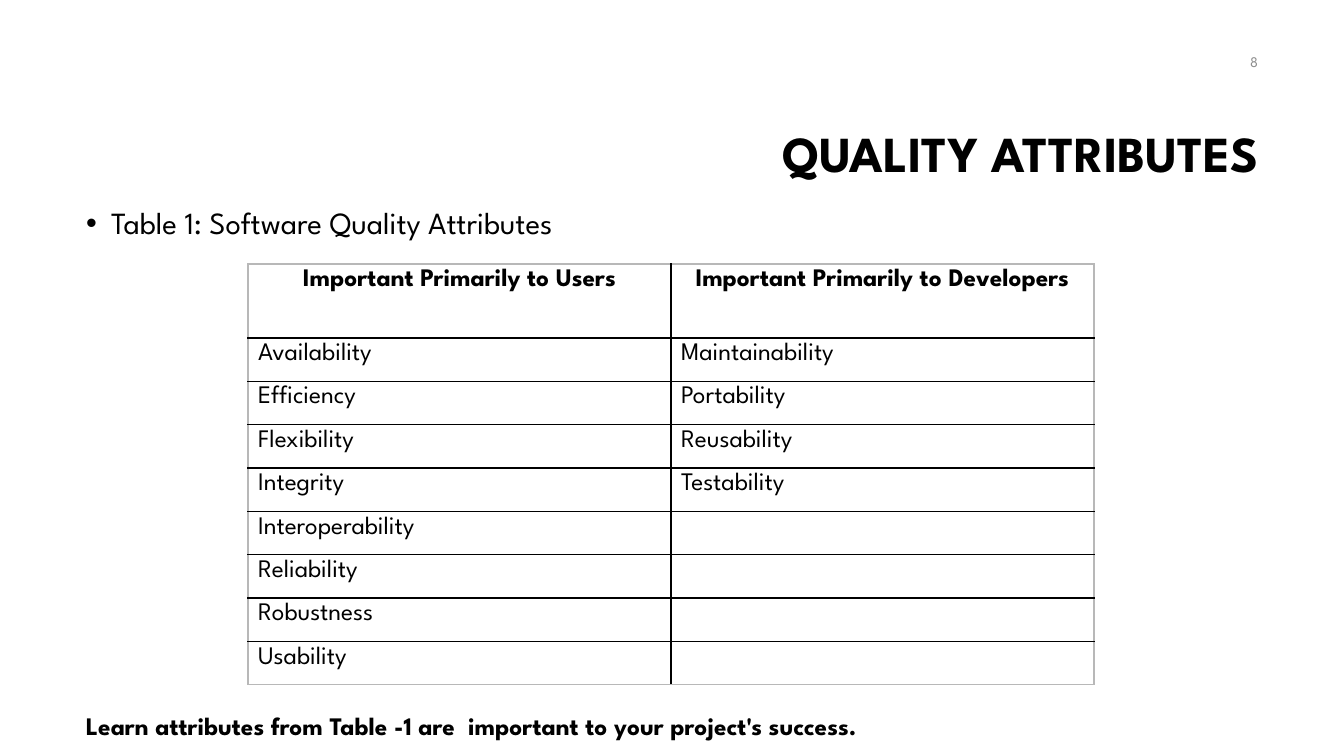
from lxml import etree
from pptx import Presentation
from pptx import util as u
from pptx.dml.color import RGBColor
from pptx.enum import text
from pptx.oxml import ns

PX = 9144000 / 1008  # EMU in one px, at 100.8 px to the inch
THEME = {
    "title": {"size": u.Pt(36), "bold": True, "color": "000000"},
    "list": {"size": u.Pt(22), "bold": False, "color": "000000"},
    "head": {"size": u.Pt(18), "bold": True, "color": "000000"},
    "cell": {"size": u.Pt(18), "bold": False, "color": "000000"},
    "page": {"size": u.Pt(10.5), "bold": False, "color": "8C8C8C"},
    "font": "League Spartan",
    "inner": "000000",
    "outer": "B8B8B8",
}
LEFT, CENTER, RIGHT = text.PP_ALIGN.LEFT, text.PP_ALIGN.CENTER, text.PP_ALIGN.RIGHT
TOP, MIDDLE = text.MSO_ANCHOR.TOP, text.MSO_ANCHOR.MIDDLE


def px(*sizes):
    """Turn px lengths into EMU."""
    return [u.Emu(round(size * PX)) for size in sizes]


def write(frame, words, style, align=LEFT, anchor=TOP):
    """Fill a text frame with one paragraph in a style of the theme."""
    frame.word_wrap = True
    frame.vertical_anchor = anchor
    para = frame.paragraphs[0]
    para.alignment = align
    run = para.add_run()
    run.text = words
    form = dict(THEME[style], name=THEME["font"])
    run.font.color.rgb = RGBColor.from_string(form.pop("color"))
    for key, value in form.items():
        setattr(run.font, key, value)
    return para


deck = Presentation()
deck.slide_width, deck.slide_height = px(1344, 756)
slide = deck.slides.add_slide(deck.slide_layouts[1])

# Title and list
title, body = slide.placeholders
places = (
    (title, (320, 85, 949, 142), "QUALITY ATTRIBUTES", "title", RIGHT, MIDDLE),
    (body, (76, 203, 1192, 483), "Table 1: Software Quality Attributes", "list", LEFT, TOP),
)
for shape, box, words, style, align, anchor in places:
    shape.left, shape.top, shape.width, shape.height = px(*box)
    shape.text_frame.auto_size = text.MSO_AUTO_SIZE.NONE
    para = write(shape.text_frame, words, style, align, anchor)
    para.line_spacing = 0.9
    para.space_before = u.Pt(0)

props = para._p.get_or_add_pPr()
indent = px(25)[0]
props.set("marL", str(indent))
props.set("indent", str(-indent))
etree.SubElement(props, ns.qn("a:buFont"), typeface="Arial")
etree.SubElement(props, ns.qn("a:buChar"), char="•")

# Table of attributes
heads = ("Important Primarily to Users", "Important Primarily to Developers")
users = ("Availability", "Efficiency", "Flexibility", "Integrity",
         "Interoperability", "Reliability", "Robustness", "Usability")
makers = ("Maintainability", "Portability", "Reusability", "Testability")
rows = [heads]
for i, user in enumerate(users):
    rows.append((user, makers[i] if i < len(makers) else ""))

table = slide.shapes.add_table(len(rows), 2, *px(248, 264, 846, 421)).table
table.first_row = table.horz_banding = False
head, rest = px(74, 347)
for i, row in enumerate(table.rows):
    row.height = u.Emu(rest // len(users)) if i else head
for col in table.columns:
    col.width = px(423)[0]

last = len(rows) - 1
for r, row in enumerate(rows):
    for c, words in enumerate(row):
        cell = table.cell(r, c)
        cell.fill.background()
        if words:
            write(cell.text_frame, words, "cell" if r else "head",
                  LEFT if r else CENTER)
        edges = {"lnL": c == 0, "lnR": c == 1, "lnT": r == 0, "lnB": r == last}
        props = cell._tc.get_or_add_tcPr()
        for i, (edge, outer) in enumerate(edges.items()):
            line = etree.Element(ns.qn("a:" + edge), w=str(u.Pt(1)))
            fill = etree.SubElement(line, ns.qn("a:solidFill"))
            color = THEME["outer" if outer else "inner"]
            etree.SubElement(fill, ns.qn("a:srgbClr"), val=color)
            props.insert(i, line)

# Page number and closing note
notes = (
    ((966, 42, 302, 40), "8", "page", RIGHT, MIDDLE),
    ((76, 705, 1219, 40),
     "Learn attributes from Table -1 are  important to your project's success.",
     "head", LEFT, TOP),
)
for box, *content in notes:
    write(slide.shapes.add_textbox(*px(*box)).text_frame, *content)

deck.save("out.pptx")
